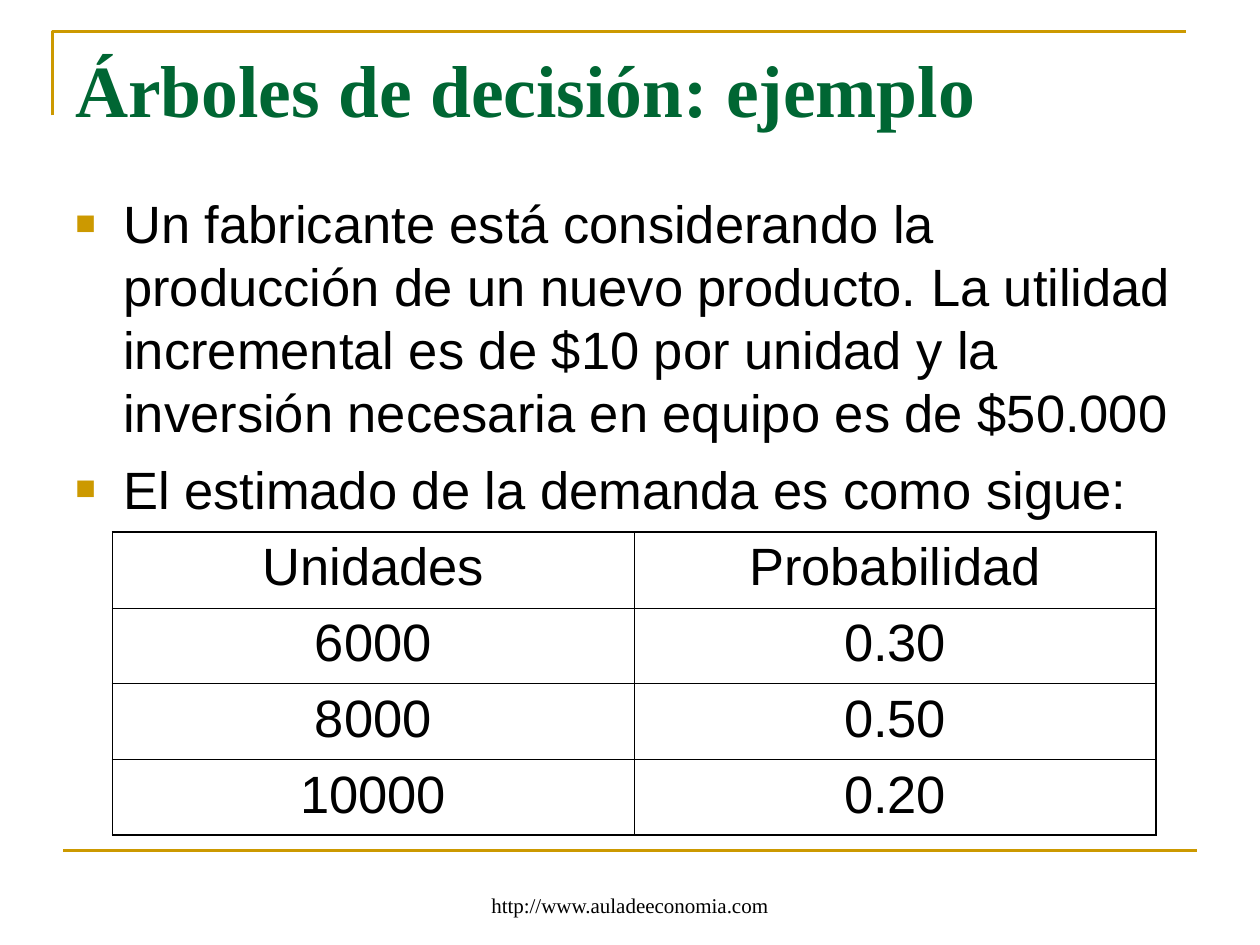
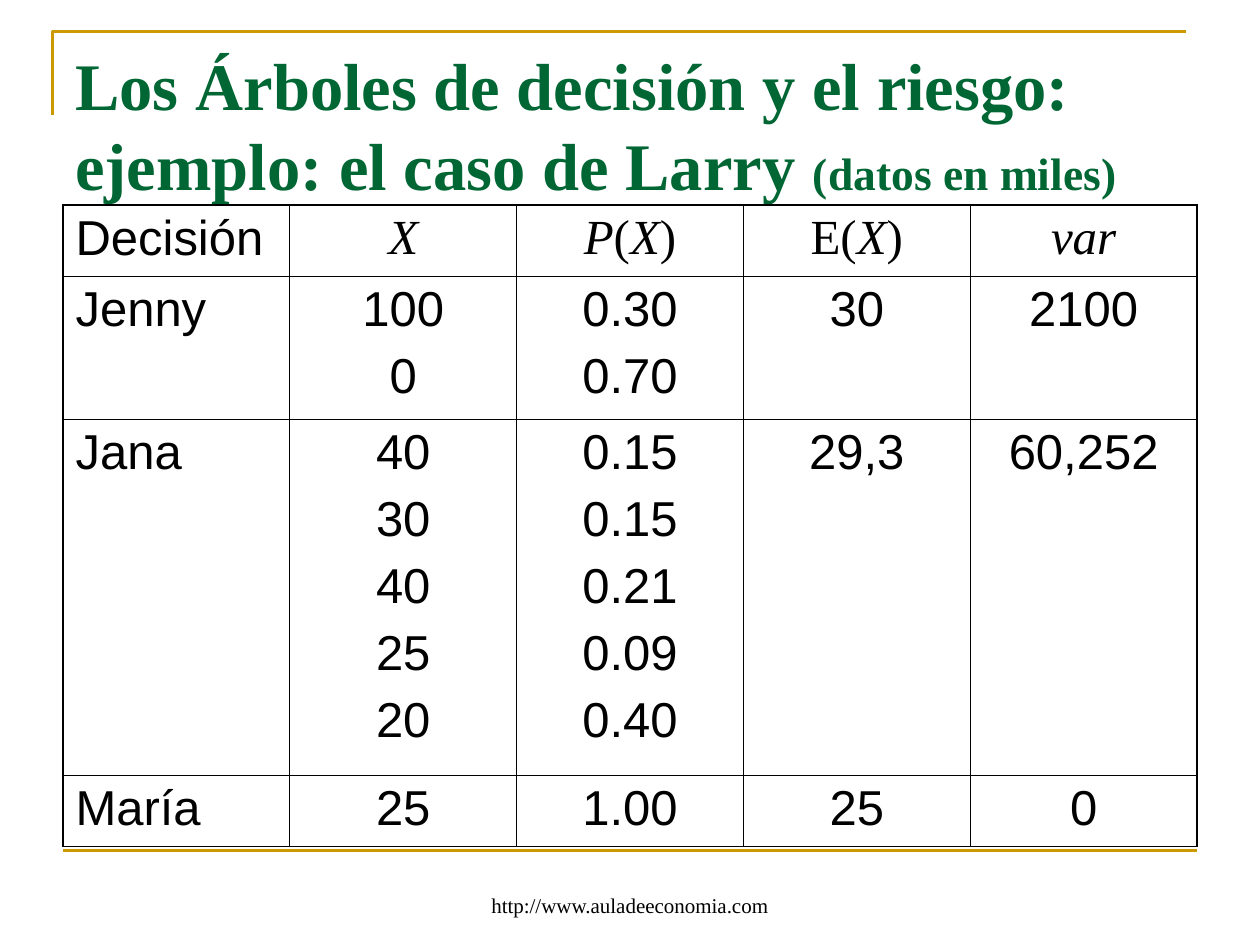
from lxml.etree import SubElement
from pptx import Presentation
from pptx.dml.color import RGBColor
from pptx.enum.shapes import MSO_CONNECTOR as Connector
from pptx.enum.text import MSO_ANCHOR as Anchor, PP_ALIGN as Align
from pptx.oxml import parse_xml
from pptx.oxml.ns import nsdecls, qn
from pptx.util import Emu, Inches, Pt

COLUMNS, ROWS = 120, 90
WIDTH, HEIGHT = Inches(10), Inches(7.5)
GOLD, GREEN, BLACK = "CC9900", "006633", "000000"
SANS, SERIF = "Arial", "Times New Roman"
OUTER_EDGE, INNER_EDGE = 1.08, 0.45
FOOTER = "http://www.auladeeconomia.com"

DEMAND = [
    ["Unidades", "Probabilidad"],
    ["6000", "0.30"],
    ["8000", "0.50"],
    ["10000", "0.20"],
]
DECISIONS = [
    ["Decisión", [("X", True)],
     [("P", True), ("(", False), ("X", True), (")", False)],
     [("E(", False), ("X", True), (")", False)], [("var", True)]],
    ["Jenny", "100\n0", "0.30\n0.70", "30", "2100"],
    ["Jana", "40\n30\n40\n25\n20", "0.15\n0.15\n0.21\n0.09\n0.40", "29,3", "60,252"],
    ["María", "25", "1.00", "25", "0"],
]


def across(columns):
    return Emu(round(WIDTH * columns / COLUMNS))


def down(rows):
    return Emu(round(HEIGHT * rows / ROWS))


def place(left, top, width, height):
    return across(left), down(top), across(width), down(height)


def color(code):
    return RGBColor.from_string(code)


def style(span, size, font, code, bold=False, italic=False):
    span.font.size = Pt(size)
    span.font.name = font
    span.font.color.rgb = color(code)
    span.font.bold = bold
    span.font.italic = italic


def add_text(page, area, anchor=Anchor.TOP):
    frame = page.shapes.add_textbox(*place(*area)).text_frame
    frame.word_wrap = True
    frame.vertical_anchor = anchor
    return frame


def gold_line(shape):
    shape.line.color.rgb = color(GOLD)
    shape.line.width = Pt(1.5)


def add_frame(page):
    builder = page.shapes.build_freeform(across(5), down(11))
    builder.add_line_segments([(across(5), down(3)), (across(113), down(3))], close=False)
    corner = builder.convert_to_shape()
    corner.shadow.inherit = False
    corner.fill.background()
    gold_line(corner)

    base = page.shapes.add_connector(
        Connector.STRAIGHT, across(6), down(81), across(114), down(81))
    SubElement(base._element.spPr, qn("a:effectLst"))
    gold_line(base)

    para = add_text(page, (41, 82, 38, 6), Anchor.BOTTOM).paragraphs[0]
    para.text = FOOTER
    para.alignment = Align.CENTER
    style(para.runs[0], 12, SERIF, BLACK)


def add_title(page, height, spans):
    para = add_text(page, (6, 3.6, 108, height)).paragraphs[0]
    for text, size in spans:
        span = para.add_run()
        span.text = text
        style(span, size, SERIF, GREEN, bold=True)


def add_bullet(para):
    props = para._p.get_or_add_pPr()
    props.set("marL", str(Inches(0.38)))
    props.set("indent", str(-Inches(0.38)))
    SubElement(SubElement(props, qn("a:buClr")), qn("a:srgbClr"), val=GOLD)
    SubElement(props, qn("a:buSzPct"), val="65000")
    SubElement(props, qn("a:buFont"), typeface=SANS)
    SubElement(props, qn("a:buChar"), char="■")


def add_bullets(page, area, texts):
    frame = add_text(page, area)
    frame.text = "\n".join(texts)
    for index, para in enumerate(frame.paragraphs):
        add_bullet(para)
        para.space_before = Pt(7.5 if index else 0)
        style(para.runs[0], 30, SANS, BLACK)


def set_borders(cell, outer_sides):
    props = cell._tc.get_or_add_tcPr()
    for index, (side, outer) in enumerate(zip("LRTB", outer_sides)):
        width = Pt(OUTER_EDGE if outer else INNER_EDGE)
        props.insert(index, parse_xml(
            f'<a:ln{side} {nsdecls("a")} w="{width}"><a:solidFill>'
            f'<a:srgbClr val="{BLACK}"/></a:solidFill></a:ln{side}>'))


def fill_cell(cell, content, size, alignment):
    frame = cell.text_frame
    if isinstance(content, str):
        frame.text = content
        for index, para in enumerate(frame.paragraphs):
            para.space_before = Pt(7 if index else 0)
            style(para.runs[0], size, SANS, BLACK)
    else:
        for text, italic in content:
            span = frame.paragraphs[0].add_run()
            span.text = text
            style(span, size, SERIF, BLACK, italic=italic)
    for para in frame.paragraphs:
        para.alignment = alignment


def add_grid(page, left, top, width, row_heights, content, size, label_alignment):
    row_count, column_count = len(content), len(content[0])
    area = place(left, top, width, sum(row_heights))
    table = page.shapes.add_table(row_count, column_count, *area).table
    table.first_row = table.horz_banding = False
    for column in table.columns:
        column.width = across(width / column_count)
    for y, values in enumerate(content):
        table.rows[y].height = down(row_heights[y])
        for x, value in enumerate(values):
            cell = table.cell(y, x)
            cell.fill.background()
            fill_cell(cell, value, size, Align.CENTER if x else label_alignment)
            set_borders(cell, (x == 0, x == column_count - 1, y == 0, y == row_count - 1))


def add_page(deck):
    page = deck.slides.add_slide(deck.slide_layouts[6])
    add_frame(page)
    return page


def main():
    deck = Presentation()
    deck.slide_width, deck.slide_height = WIDTH, HEIGHT

    page = add_page(deck)
    add_title(page, 15, [("Árboles de decisión: ejemplo", 42)])
    add_bullets(page, (6, 17.64, 109.8, 33.12), [
        "Un fabricante está considerando la producción de un nuevo producto. "
        "La utilidad incremental es de $10 por unidad y la inversión necesaria "
        "en equipo es de $50.000",
        "El estimado de la demanda es como sigue:",
    ])
    add_grid(page, 10.7, 50.68, 99.4, [7.22] * 4, DEMAND, 30, Align.CENTER)

    page = add_page(deck)
    add_title(page, 10.2, [
        ("Los Árboles de decisión y el riesgo: ejemplo: el caso de Larry ", 38),
        ("(datos en miles)", 26),
    ])
    add_grid(page, 6, 19.5, 108, [6.8, 13.6, 33.9, 6.8], DECISIONS, 28, Align.LEFT)

    deck.save("out.pptx")


if __name__ == "__main__":
    main()
